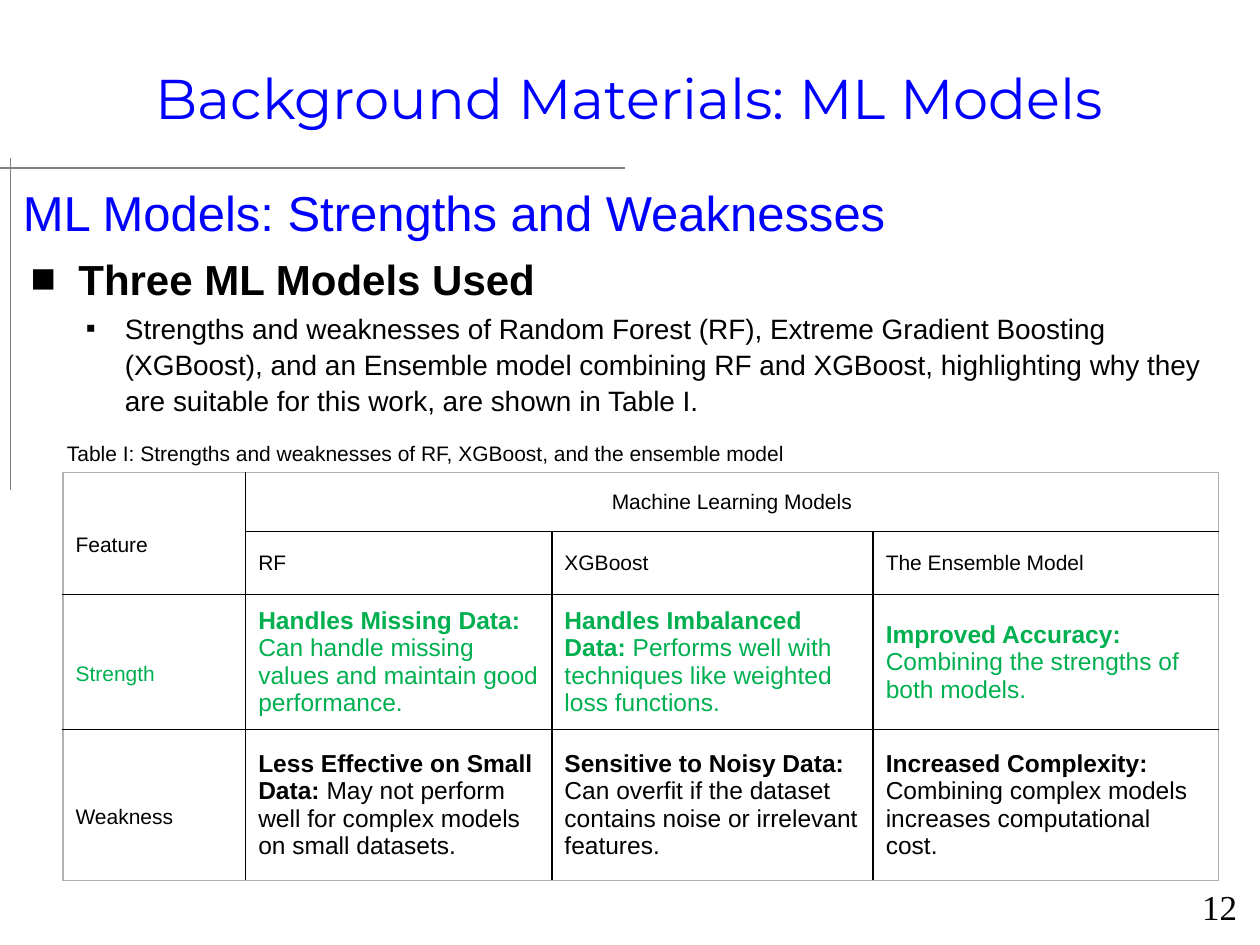
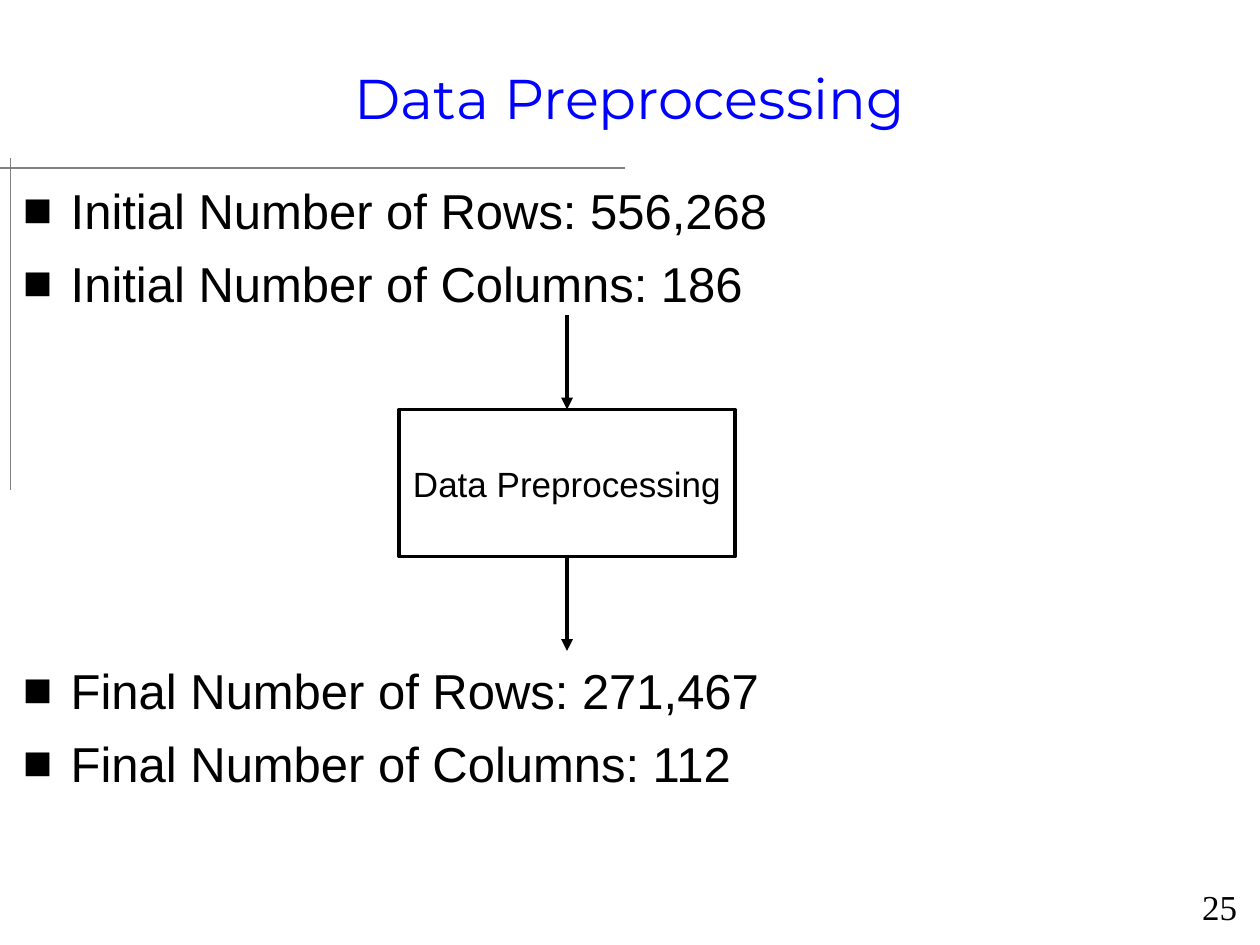
from lxml import etree
from pptx import Presentation, util as u
from pptx.dml.color import RGBColor
from pptx.enum import shapes, text
from pptx.oxml import ns

HUE = {"ink": "000000", "blue": "0000FF", "green": "00B050",
       "rule": "808080", "edge": "B2B2B2", "paper": "FFFFFF"}
COLS, ROWS = 120, 90
WIDE, HIGH = u.Inches(10), u.Inches(7.5)
MID = text.MSO_ANCHOR.MIDDLE
LEFT, MIDST, RIGHT = text.PP_ALIGN.LEFT, text.PP_ALIGN.CENTER, text.PP_ALIGN.RIGHT


def tint(name):
    return RGBColor.from_string(HUE[name])


def grid(x, y, w, h):
    return [int(v) for v in (x * WIDE / COLS, y * HIGH / ROWS,
                             w * WIDE / COLS, h * HIGH / ROWS)]


def apply(item, form):
    for key, val in form.items():
        setattr(item, key, val)


def node(up, tag, **attrs):
    return etree.SubElement(up, ns.qn(tag), attrs)


def write(para, runs, size, hue="ink", face="Arial", **form):
    apply(para, form)
    for words, bold in runs:
        run = para.add_run()
        run.text = words
        apply(run.font, {"size": u.Pt(size), "name": face, "bold": bold})
        run.font.color.rgb = tint(hue)


def label(slide, box, words, size, wrap=True, anchor=text.MSO_ANCHOR.TOP, **form):
    frame = slide.shapes.add_textbox(*grid(*box)).text_frame
    apply(frame, {"word_wrap": wrap, "vertical_anchor": anchor})
    write(frame.paragraphs[0], [(words, False)], size, **form)


def line(slide, start, end, hue, width, arrow=False):
    ends = grid(*start, *end)
    link = slide.shapes.add_connector(shapes.MSO_CONNECTOR.STRAIGHT, *ends)
    link.line.color.rgb = tint(hue)
    link.line.width = u.Pt(width)
    if arrow:
        node(link.line._get_or_add_ln(), "a:tailEnd", type="triangle")
    node(link._element.spPr, "a:effectLst")


def base(deck, title, page):
    slide = deck.slides.add_slide(deck.slide_layouts[6])
    label(slide, (105, 83.75, 14, 5.25), page, 20,
          face="Times New Roman", alignment=RIGHT)
    label(slide, (6, 2.6, 108, 13.4), title, 32, anchor=MID,
          hue="blue", face="Montserrat", alignment=MIDST)
    line(slide, (0, 16), (59.5, 16), "rule", 1)
    line(slide, (1, 15), (1, 46.7), "rule", 1)
    return slide


def mark(para, sign, left, hang):
    props = para._p.get_or_add_pPr()
    props.set("marL", str(u.Inches(left)))
    props.set("indent", str(-u.Inches(hang)))
    node(props, "a:buFont", typeface="Arial")
    node(props, "a:buChar", char=sign)


def body(slide, box, items):
    frame = slide.shapes.add_textbox(*grid(*box)).text_frame
    frame.word_wrap = True
    for num, (words, size, hue, bold, sign) in enumerate(items):
        para = frame.add_paragraph() if num else frame.paragraphs[0]
        if sign:
            mark(para, *sign)
        write(para, [(words, bold)], size, hue, line_spacing=1.07,
              space_before=u.Pt(size * 0.2 if num else 0))


def border(cell, outer):
    props = cell._tc.get_or_add_tcPr()
    for side in "LRTB":
        edge = node(props, "a:ln" + side, w=str(u.Pt(1)))
        fill = node(edge, "a:solidFill")
        node(fill, "a:srgbClr", val=HUE["edge" if side in outer else "ink"])


def table(slide, box, wides, highs, cells, spans):
    grf = slide.shapes.add_table(len(highs), len(wides), *grid(*box)).table
    apply(grf, {"first_row": False, "horz_banding": False})
    for col, wide in zip(grf.columns, wides):
        col.width = u.Inches(wide)
    for row, high in zip(grf.rows, highs):
        row.height = u.Inches(high)
    for (top, left), (low, right) in spans:
        grf.cell(top, left).merge(grf.cell(low, right))
    for (row, col), (runs, size, hue, form) in cells.items():
        cell = grf.cell(row, col)
        tall = cell.span_height if cell.is_merge_origin else 1
        wide = cell.span_width if cell.is_merge_origin else 1
        rim = {"L": col == 0, "R": col + wide == len(wides),
               "T": row == 0, "B": row + tall == len(highs)}
        border(cell, [side for side, on in rim.items() if on])
        cell.fill.solid()
        cell.fill.fore_color.rgb = tint("paper")
        cell.vertical_anchor = MID
        write(cell.text_frame.paragraphs[0], runs, size, hue, **form)


def models(deck):
    slide = base(deck, "Background Materials: ML Models", "12")
    body(slide, (1, 16.4, 118, 24), [
        ("ML Models: Strengths and Weaknesses", 28, "blue", False, None),
        ("Three ML Models Used", 24, "ink", True, ("■", 0.44, 0.38)),
        ("Strengths and weaknesses of Random Forest (RF), Extreme Gradient "
         "Boosting (XGBoost), and an Ensemble model combining RF and XGBoost, "
         "highlighting why they are suitable for this work, are shown in "
         "Table I.", 16, "ink", False, ("▪", 0.81, 0.31))])
    label(slide, (5.2, 41.4, 72, 3.6),
          "Table I: Strengths and weaknesses of RF, XGBoost, and the ensemble model",
          12, wrap=False)
    heads = {(0, 0): "Feature", (0, 1): "Machine Learning Models", (1, 1): "RF",
             (1, 2): "XGBoost", (1, 3): "The Ensemble Model",
             (2, 0): "Strength", (3, 0): "Weakness"}
    facts = [
        [("Handles Missing Data:", " Can handle missing values and maintain good performance."),
         ("Handles Imbalanced Data:", " Performs well with techniques like weighted loss functions."),
         ("Improved Accuracy:", " Combining the strengths of both models.")],
        [("Less Effective on Small Data:", " May not perform well for complex models on small datasets."),
         ("Sensitive to Noisy Data:", " Can overfit if the dataset contains noise or irrelevant features."),
         ("Increased Complexity:", " Combining complex models increases computational cost.")]]
    hues = ["ink", "ink", "green", "ink"]
    cells = {}
    for (row, col), words in heads.items():
        form = {"alignment": MIDST if (row, col) == (0, 1) else LEFT,
                "line_spacing": 1.0 if col else 2.0}
        cells[row, col] = ([(words, False)], 12, hues[row], form)
    for row, group in enumerate(facts, 2):
        for col, (lead, rest) in enumerate(group, 1):
            cells[row, col] = ([(lead, True), (rest, False)], 14, hues[row], {})
    table(slide, (6, 45, 110, 38), [1.45, 2.43, 2.55, 2.74],
          [0.47, 0.42, 1.07, 1.2], cells, [((0, 0), (1, 0)), ((0, 1), (0, 3))])


def flow(slide, box, reach, words):
    x, y, w, h = box
    mid = x + w / 2
    for top in (y - reach, y + h):
        line(slide, (mid, top), (mid, top + reach), "ink", 2.25, True)
    step = slide.shapes.add_shape(shapes.MSO_SHAPE.RECTANGLE, *grid(*box))
    step.shadow.inherit = False
    step.fill.solid()
    step.fill.fore_color.rgb = tint("paper")
    step.line.color.rgb = tint("ink")
    step.line.width = u.Pt(2)
    apply(step.text_frame, {"word_wrap": False, "vertical_anchor": MID})
    write(step.text_frame.paragraphs[0], [(words, False)], 20, alignment=MIDST)


def prep(deck):
    slide = base(deck, "Data Preprocessing", "25")
    counts = {16.2: ("Initial", "556,268", "186"), 61.9: ("Final", "271,467", "112")}
    for top, (stage, rows, cols) in counts.items():
        body(slide, (1, top, 108, 14), [
            (f"{stage} Number of {kind}: {count}", 28, "ink", False, ("■", 0.38, 0.38))
            for kind, count in (("Rows", rows), ("Columns", cols))])
    flow(slide, (38, 39, 32, 14), 9, "Data Preprocessing")


def main():
    deck = Presentation()
    apply(deck, {"slide_width": WIDE, "slide_height": HIGH})
    models(deck)
    prep(deck)
    deck.save("out.pptx")


if __name__ == "__main__":
    main()
